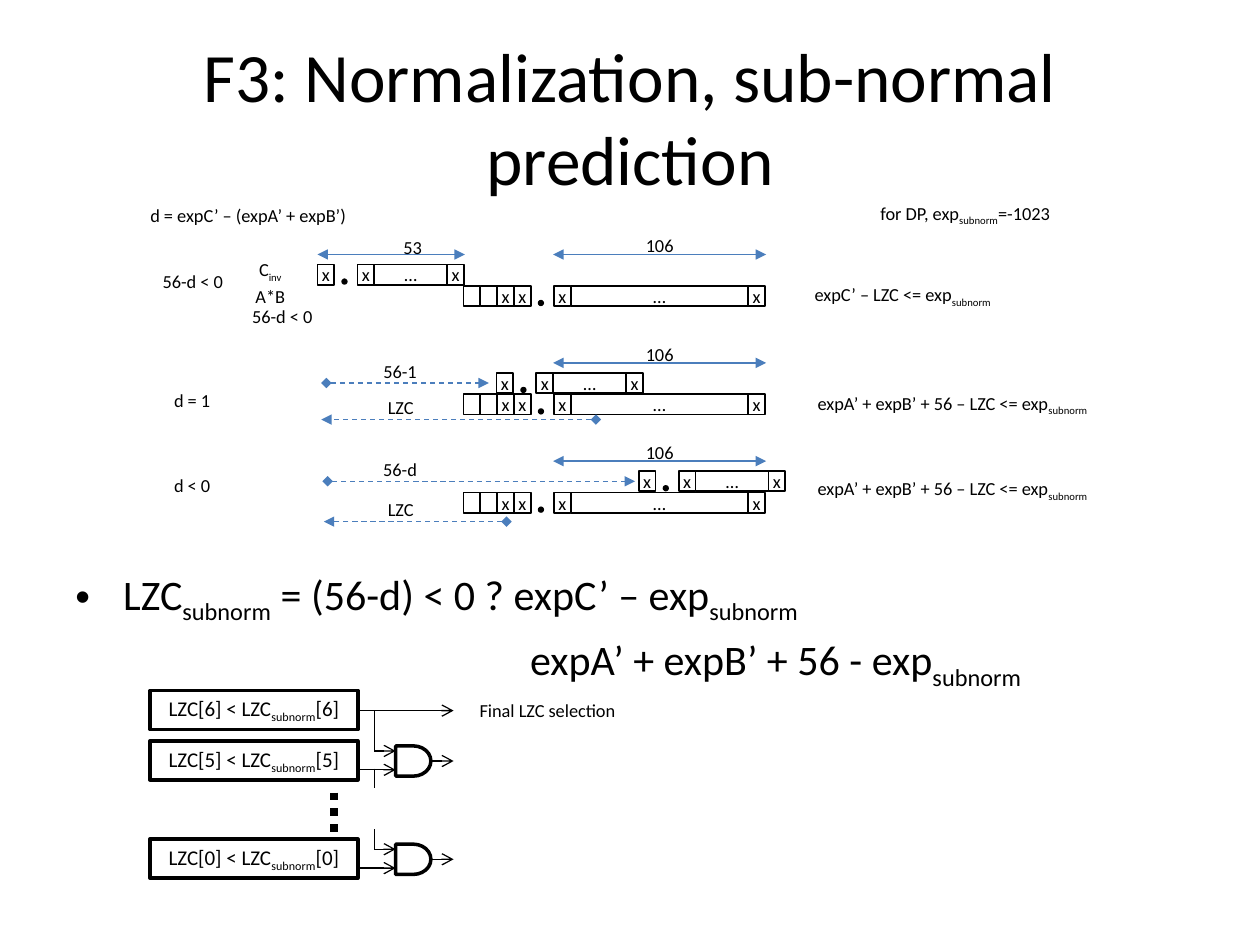
"""Build the slide on normalization and sub-normal prediction."""
from typing import NamedTuple

from lxml import etree
from pptx import Presentation
from pptx.dml.color import RGBColor
from pptx.enum.dml import MSO_LINE
from pptx.enum.shapes import MSO_CONNECTOR, MSO_SHAPE
from pptx.enum.text import MSO_ANCHOR, MSO_AUTO_SIZE, PP_ALIGN
from pptx.oxml.ns import qn
from pptx.util import Inches, Pt

RECT, OVAL, GATE = MSO_SHAPE.RECTANGLE, MSO_SHAPE.OVAL, MSO_SHAPE.FLOWCHART_DELAY
STRAIGHT = MSO_CONNECTOR.STRAIGHT
DASH, DOTS = MSO_LINE.DASH, MSO_LINE.ROUND_DOT
MIDDLE, CENTER, LEFT = MSO_ANCHOR.MIDDLE, PP_ALIGN.CENTER, PP_ALIGN.LEFT
NO_FIT = MSO_AUTO_SIZE.NONE
BLACK = RGBColor(0x00, 0x00, 0x00)
WHITE = RGBColor(0xFF, 0xFF, 0xFF)
BLUE = RGBColor(0x4B, 0x7E, 0xBC)
FONT = "Calibri"

COLS, ROWS = 100, 75
UNIT = Inches(0.1)
BIT, HIGH, GAP = 1.33, 1.6, 1.84
ADDEND = ("x", ".", "x", "…", "x")
PRODUCT = ("", "", "x", "x", ".", "x", "…", "x")
SUM = "expA’ + expB’ + 56 – LZC <= exp_subnorm_"


class Label(NamedTuple):
    """Text with its grid place; underscores enclose subscripts."""
    text: str
    x: float
    y: float
    w: float = 3.9


class Wire(NamedTuple):
    """A line between two grid points."""
    x1: float
    y1: float
    x2: float
    y2: float
    head: str = "none"
    tail: str = "none"
    color: RGBColor = BLACK
    dash: MSO_LINE | None = None
    width: float = 0.75


class Case(NamedTuple):
    """One alignment of addend and product."""
    x: float
    y: float


class Shift(NamedTuple):
    """Dashed shift and count arrows of a case."""
    text: str
    y: float
    start: float
    end: float
    low: float
    near: float
    far: float


class Test(NamedTuple):
    """One comparison box."""
    bit: int
    y: float


CASES = (Case(25.2, 21), Case(39.4, 29.6), Case(50.7, 37.4))
SHIFTS = (Shift("56-1", 29.6, 25.9, 38.8, 33.3, 25.5, 47.3),
          Shift("56-d", 37.4, 26, 50.4, 41.4, 25.7, 40.2))
TESTS = (Test(6, 54.8), Test(5, 58.8), Test(0, 66.6))
LABELS = (
    Label("d = expC’ – (expA’ + expB’)", 10.4, 16.3, 18.6),
    Label("for DP, exp_subnorm_=-1023", 69.1, 16.2, 15),
    Label("53", 30.8, 18.8),
    Label("56-d < 0", 11.9, 21.5, 6.8),
    Label("C_inv_", 19.5, 20.7),
    Label("A*B", 19.5, 22.7),
    Label("56-d < 0", 19, 24.3, 6.8),
    Label("d = 1", 13.3, 31),
    Label("d < 0", 13.3, 37.7),
    Label("expC’ – LZC <= exp_subnorm_", 63, 22.7, 17.3),
    Label(SUM, 63.8, 31.3, 23.6),
    Label(SUM, 63.8, 38.1, 23.6),
    Label("Final LZC selection", 36.7, 55.6, 13.5),
)
WIRES = (
    Wire(25.2, 20.2, 36.9, 20.2, "triangle", "triangle", BLUE),
    Wire(28.4, 56.4, 36, 56.4, tail="arrow"),
    Wire(29.7, 56.4, 29.7, 59.6),
    Wire(29.7, 61, 29.7, 62.5),
    Wire(29.7, 65.8, 29.7, 67.4),
    Wire(26.5, 62.9, 26.5, 66.2, dash=DOTS, width=4.5),
)


def write(para, text: str, size: float, align=CENTER) -> None:
    """Fill a paragraph, lowering the parts between underscores."""
    for i, part in enumerate(text.split("_")):
        if part:
            run = para.add_run()
            run.text = part
            if i % 2:
                run._r.get_or_add_rPr().set("baseline", "-25000")
    para.alignment = align
    para.font.name, para.font.size = FONT, Pt(size)
    para.font.color.rgb = BLACK


def indent(para, left: float, first: float, mark: str = "") -> None:
    """Indent a paragraph and give it a bullet if wanted."""
    props = para._p.get_or_add_pPr()
    props.set("marL", str(Inches(left)))
    props.set("indent", str(Inches(first)))
    if mark:
        etree.SubElement(props, qn("a:buFont")).set("typeface", "Arial")
        etree.SubElement(props, qn("a:buChar")).set("char", mark)


def place(x: float, y: float, w: float, h: float) -> list[int]:
    """Turn grid values into lengths."""
    return [round(v * UNIT) for v in (x, y, w, h)]


def setup(frame, inset: float = 0) -> None:
    """Set wrapping, anchor and insets of a text frame."""
    frame.word_wrap, frame.auto_size = True, NO_FIT
    frame.vertical_anchor = MIDDLE
    frame.margin_left = frame.margin_right = Inches(inset)
    frame.margin_top = frame.margin_bottom = Inches(inset / 2)


def label(shapes, item: Label) -> None:
    """Draw a small centred label."""
    frame = shapes.add_textbox(*place(item.x, item.y, item.w, HIGH)).text_frame
    setup(frame)
    write(frame.paragraphs[0], item.text, 10.5)


def block(shapes, kind, x: float, y: float, w: float, h: float,
          text: str = "", size: float = 10.5, line: float = 1) -> None:
    """Draw an outlined white shape."""
    shape = shapes.add_shape(kind, *place(x, y, w, h))
    shape.shadow.inherit = False
    shape.fill.solid()
    shape.fill.fore_color.rgb = WHITE
    shape.line.color.rgb, shape.line.width = BLACK, Pt(line)
    setup(shape.text_frame)
    if text:
        write(shape.text_frame.paragraphs[0], text, size)


def dot(shapes, x: float, y: float) -> None:
    """Draw a binary point."""
    shape = shapes.add_shape(OVAL, *place(x, y, 0.5, 0.5))
    shape.shadow.inherit = False
    shape.fill.solid()
    shape.fill.fore_color.rgb = BLACK
    shape.line.fill.background()


def word(shapes, x: float, y: float, bits: tuple[str, ...], span: float) -> None:
    """Draw a register from left to right."""
    for bit in bits:
        if bit == ".":
            dot(shapes, x + 0.56, y + 1.1)
            x += GAP
            continue
        wide = span if bit == "…" else BIT
        block(shapes, RECT, x, y, wide, HIGH, bit)
        x += wide


def wire(shapes, item: Wire) -> None:
    """Draw a line with its dash and arrowheads."""
    link = shapes.add_connector(STRAIGHT, *place(*item[:4]))
    link.line.color.rgb, link.line.width = item.color, Pt(item.width)
    if item.dash:
        link.line.dash_style = item.dash
    props = link._element.spPr
    for tag, kind in (("a:headEnd", item.head), ("a:tailEnd", item.tail)):
        etree.SubElement(props.find(qn("a:ln")), qn(tag)).set("type", kind)
    etree.SubElement(props, qn("a:effectLst"))


def main() -> None:
    """Build and save the deck."""
    deck = Presentation()
    deck.slide_width, deck.slide_height = COLS * UNIT, ROWS * UNIT
    slide = deck.slides.add_slide(deck.slide_layouts[5])
    shapes = slide.shapes
    title = shapes.title
    title.left, title.top, title.width, title.height = place(5, 3, 90, 12.5)
    setup(title.text_frame, 0.1)
    write(title.text_frame.paragraphs[0], "F3: Normalization, sub-normal prediction", 39.6)

    body = shapes.add_textbox(*place(5, 44.6, 90, 9.4)).text_frame
    body.word_wrap = True
    rule, other = body.paragraphs[0], body.add_paragraph()
    indent(rule, 0.38, -0.38, "•")
    indent(other, 3.61, 0)
    write(rule, "LZC_subnorm_ = (56-d) < 0 ? expC’ – exp_subnorm_", 24, LEFT)
    write(other, "expA’ + expB’ + 56 - exp_subnorm_", 24, LEFT)
    other.space_before = Pt(4.8)

    for case in CASES:
        word(shapes, case.x, case.y, ADDEND, 5.8)
        word(shapes, 36.8, case.y + 1.7, PRODUCT, 14.1)
        row = case.y - 0.8
        wire(shapes, Wire(43.9, row, 60.8, row, "triangle", "triangle", BLUE))
        label(shapes, Label("106", 50.4, case.y - 2.3))
    for s in SHIFTS:
        row = s.y + 0.8
        wire(shapes, Wire(s.start, row, s.end, row, "diamond", "triangle", BLUE, DASH))
        wire(shapes, Wire(s.far, s.low, s.near, s.low, "diamond", "triangle", BLUE, DASH))
        label(shapes, Label(s.text, 29.8, s.y - 0.95))
        label(shapes, Label("LZC", 29.85, s.low - 1.75))
    for bit, y in TESTS:
        block(shapes, RECT, 11.9, y, 16.5, 3.1, f"LZC[{bit}] < LZC_subnorm_[{bit}]", 12, 2)
    for _, y in TESTS[1:]:
        block(shapes, GATE, 31.4, y + 0.4, 2.8, 2.4, line=2)
        for x1, x2, down in ((29.7, 31.4, 0.8), (28.4, 31.4, 2.3), (34.3, 36, 1.6)):
            wire(shapes, Wire(x1, y + down, x2, y + down, tail="arrow"))
    for item in WIRES:
        wire(shapes, item)
    for item in LABELS:
        label(shapes, item)
    deck.save("out.pptx")


if __name__ == "__main__":
    main()
